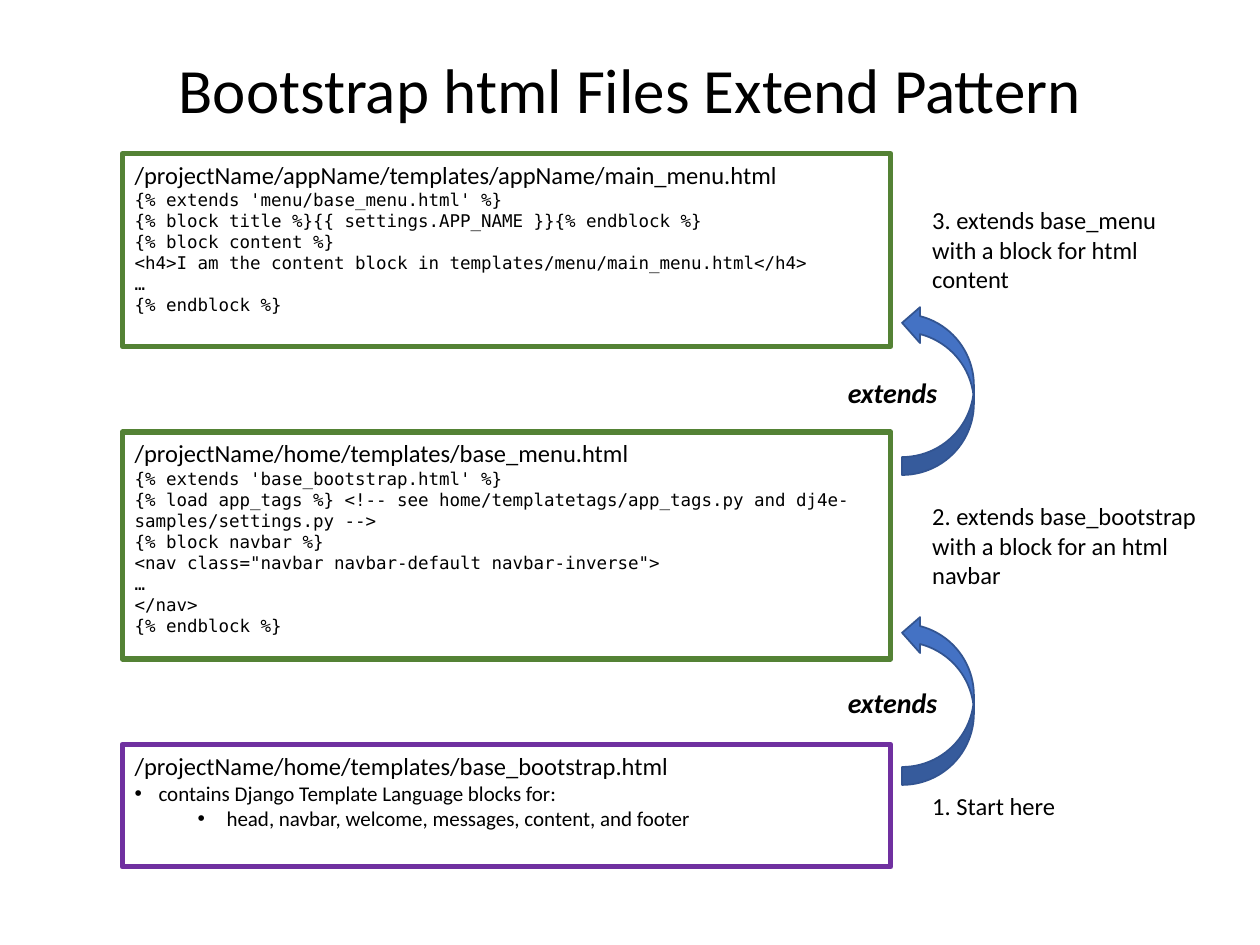
from lxml.etree import SubElement
from pptx import Presentation
from pptx.dml.color import RGBColor
from pptx.enum.shapes import MSO_SHAPE
from pptx.enum.text import MSO_ANCHOR, MSO_AUTO_SIZE, PP_ALIGN
from pptx.oxml.ns import qn
from pptx.util import Inches, Pt

COLORS = {
    "text": "000000",
    "paper": "FFFFFF",
    "template": "548235",
    "base": "7030A0",
    "arrow": "4472C4",
    "arrow_edge": "325491",
}
BODY_FONT = "Calibri"
CODE_FONT = "DejaVu Sans Mono"

PANEL_LEFT, PANEL_WIDTH = 0.97, 6.1
NOTE_LEFT, NOTE_WIDTH = 7.3, 2.3

MAIN_MENU = [
    "{% extends 'menu/base_menu.html' %}",
    "{% block title %}{{ settings.APP_NAME }}{% endblock %}",
    "{% block content %}",
    "<h4>I am the content block in templates/menu/main_menu.html</h4>",
    "…",
    "{% endblock %}",
]
BASE_MENU = [
    "{% extends 'base_bootstrap.html' %}",
    "{% load app_tags %} <!-- see home/templatetags/app_tags.py and dj4e-samples/settings.py -->",
    "{% block navbar %}",
    '<nav class="navbar navbar-default navbar-inverse">',
    "…",
    "</nav>",
    "{% endblock %}",
]
BASE_BOOTSTRAP = [
    ("contains Django Template Language blocks for:", 0, 0.19, 0.19),
    ("head, navbar, welcome, messages, content, and footer", 1, 0.73, 0.23),
]


def color(name):
    return RGBColor.from_string(COLORS[name])


def style(paragraph, size, name=BODY_FONT, align=PP_ALIGN.LEFT):
    paragraph.alignment = align
    paragraph.font.size = Pt(size)
    paragraph.font.name = name
    paragraph.font.color.rgb = color("text")


def add_line(frame, text, size, name=BODY_FONT):
    paragraph = frame.add_paragraph()
    paragraph.text = text
    style(paragraph, size, name)
    return paragraph


def add_bullet(paragraph, indent, hanging):
    properties = paragraph._p.get_or_add_pPr()
    properties.set("marL", str(Inches(indent)))
    properties.set("indent", str(-Inches(hanging)))
    SubElement(properties, qn("a:buFont")).set("typeface", "Arial")
    SubElement(properties, qn("a:buChar")).set("char", "•")


def paint(shape, fill, line, width):
    shape.shadow.inherit = False
    shape.fill.solid()
    shape.fill.fore_color.rgb = color(fill)
    shape.line.color.rgb = color(line)
    shape.line.width = Pt(width)


def add_title(slide, text, left, top, width, height):
    title = slide.shapes.title
    title.left, title.top = Inches(left), Inches(top)
    title.width, title.height = Inches(width), Inches(height)
    frame = title.text_frame
    frame.text = text
    frame.auto_size = MSO_AUTO_SIZE.NONE
    frame.vertical_anchor = MSO_ANCHOR.MIDDLE
    style(frame.paragraphs[0], 36, align=PP_ALIGN.CENTER)
    frame.paragraphs[0].line_spacing = 0.9


def add_panel(slide, heading, top, height, line):
    panel = slide.shapes.add_shape(
        MSO_SHAPE.RECTANGLE, Inches(PANEL_LEFT), Inches(top), Inches(PANEL_WIDTH), Inches(height)
    )
    paint(panel, "paper", line, 3)
    frame = panel.text_frame
    frame.word_wrap = True
    frame.vertical_anchor = MSO_ANCHOR.TOP
    frame.text = heading
    style(frame.paragraphs[0], 14)
    return frame


def add_code_panel(slide, heading, code, top, height):
    frame = add_panel(slide, heading, top, height, "template")
    for text in code:
        add_line(frame, text, 10, CODE_FONT)


def add_list_panel(slide, heading, items, top, height):
    frame = add_panel(slide, heading, top, height, "base")
    for text, level, indent, hanging in items:
        paragraph = add_line(frame, text, 12)
        paragraph.level = level
        add_bullet(paragraph, indent, hanging)


def add_label(slide, text, left, top, width, height, size=14, wrap=True):
    label = slide.shapes.add_textbox(Inches(left), Inches(top), Inches(width), Inches(height))
    frame = label.text_frame
    frame.word_wrap = wrap
    frame.auto_size = MSO_AUTO_SIZE.SHAPE_TO_FIT_TEXT
    frame.text = text
    style(frame.paragraphs[0], size)
    return frame.paragraphs[0]


def add_extends_arrow(slide, left, top):
    arrow = slide.shapes.add_shape(
        MSO_SHAPE.CURVED_LEFT_ARROW, Inches(left), Inches(top), Inches(0.57), Inches(1.35)
    )
    paint(arrow, "arrow", "arrow_edge", 1)
    arrow._element.spPr.find(qn("a:xfrm")).set("flipV", "1")
    paragraph = add_label(slide, "extends", left - 0.53, top + 0.51, 0.92, 0.37, 16, False)
    paragraph.font.bold = True
    paragraph.font.italic = True


def build_extend_slide(presentation):
    slide = presentation.slides.add_slide(presentation.slide_layouts[5])
    add_title(slide, "Bootstrap html Files Extend Pattern", 0.69, 0.4, 8.62, 0.67)
    add_code_panel(
        slide, "/projectName/appName/templates/appName/main_menu.html", MAIN_MENU, 1.22, 1.53
    )
    add_code_panel(slide, "/projectName/home/templates/base_menu.html", BASE_MENU, 3.43, 1.8)
    add_list_panel(
        slide, "/projectName/home/templates/base_bootstrap.html", BASE_BOOTSTRAP, 5.91, 0.97
    )
    add_label(slide, "1. Start here", NOTE_LEFT, 6.23, 1.19, 0.34, wrap=False)
    for text, top in (
        ("2. extends base_bootstrap with a block for an html navbar", 3.93),
        ("3. extends base_menu with a block for html content", 1.58),
    ):
        add_label(slide, text, NOTE_LEFT, top, NOTE_WIDTH, 0.81)
    for top in (4.88, 2.42):
        add_extends_arrow(slide, 7.16, top)


presentation = Presentation()
presentation.slide_width, presentation.slide_height = Inches(10), Inches(7.5)
build_extend_slide(presentation)
presentation.save("out.pptx")
